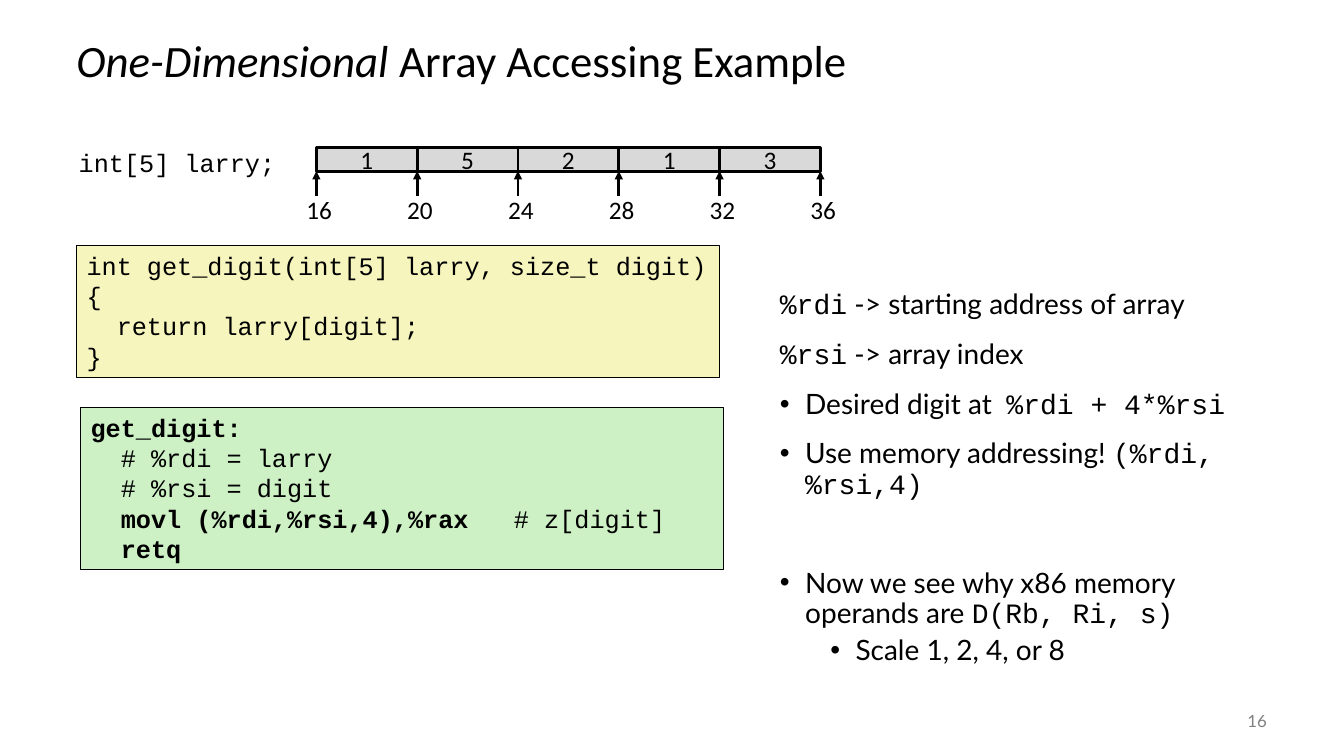
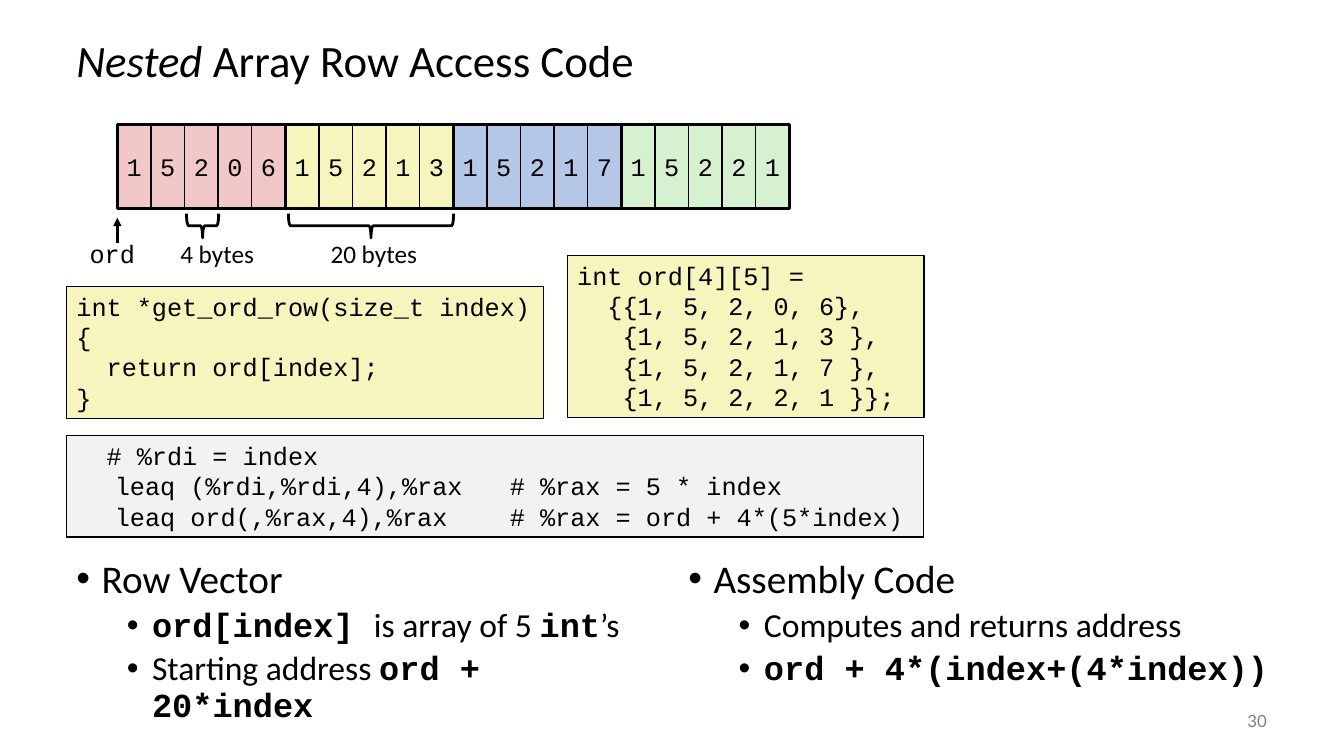
from dataclasses import dataclass
from typing import NamedTuple, Optional, Sequence, Union

from lxml import etree
from pptx import Presentation
from pptx import util as u
from pptx.dml import color
from pptx.enum import shapes, text
from pptx.oxml import ns

BLACK, GREY = "000000", "808080"
YELLOW, GREEN, PALE, SILVER = "F6F5BD", "CDF1C5", "F2F2F2", "D9D9D9"
ROW_FILLS = ("F1C7C7", YELLOW, "B4C7E7", "D5F1CF")
SANS, MONO, LATO = "Calibri", "Courier New", "Lato"
LEFT, CENTER, RIGHT = text.PP_ALIGN.LEFT, text.PP_ALIGN.CENTER, text.PP_ALIGN.RIGHT
TOP, MIDDLE = text.MSO_ANCHOR.TOP, text.MSO_ANCHOR.MIDDLE


class Frame(NamedTuple):
    """Left, top, width and height in points."""
    left: float
    top: float
    width: float
    height: float


@dataclass(frozen=True)
class Span:
    text: str
    font: Optional[str] = None
    bold: bool = False
    italic: bool = False


@dataclass(frozen=True)
class Para:
    spans: Sequence[Span]
    level: Optional[int] = None  # bullet depth, None for no bullet
    before: float = 0
    size: Optional[float] = None


@dataclass(frozen=True)
class CodeBox:
    frame: Frame
    fill: str
    lines: Sequence[Union[str, Para]]
    tabs: Sequence[float] = ()


Lines = Sequence[Union[str, Para]]


def mono(words: str, bold: bool = False) -> Span:
    return Span(words, MONO, bold)


def line(*spans: Span) -> Para:
    return Para(spans)


def bullet(*spans: Span, level: int = 0, before: float = 14,
           size: Optional[float] = None) -> Para:
    return Para(spans, level, before, size)


def rgb(value: str) -> color.RGBColor:
    return color.RGBColor.from_string(value)


def points(frame: Frame) -> list:
    return [u.Pt(length) for length in frame]


def add_element(parent, tag: str, **attributes):
    return etree.SubElement(parent, ns.qn(tag), attributes)


def write(box, lines: Lines, *, size: float = 18, font: str = SANS,
          ink: str = BLACK, align=LEFT, anchor=TOP, wrap: bool = True,
          spacing: Optional[float] = None, tabs: Sequence[float] = (),
          inset: Optional[float] = None) -> None:
    frame = box.text_frame
    frame.word_wrap = wrap
    frame.vertical_anchor = anchor
    if inset is not None:
        frame.margin_left = frame.margin_right = u.Pt(inset)
        frame.margin_top = frame.margin_bottom = u.Pt(inset)
    for index, entry in enumerate(lines):
        para = entry if isinstance(entry, Para) else line(Span(entry))
        target = frame.add_paragraph() if index else frame.paragraphs[0]
        properties = target._p.get_or_add_pPr()
        if para.level is not None:
            properties.set("marL", str(u.Pt(18 + 36 * para.level)))
            properties.set("indent", str(u.Pt(-18)))
            add_element(properties, "a:buFont", typeface="Arial")
            add_element(properties, "a:buChar", char="•")
            target.level = para.level
        if tabs:
            stops = add_element(properties, "a:tabLst")
            for stop in tabs:
                add_element(stops, "a:tab", pos=str(u.Pt(stop)), algn="l")
        target.alignment = align
        if spacing:
            target.line_spacing = spacing
        if index and para.before:
            target.space_before = u.Pt(para.before)
        for span in para.spans:
            run = target.add_run()
            run.text = span.text
            run.font.name = span.font or font
            run.font.size = u.Pt(para.size or size)
            run.font.bold = span.bold
            run.font.italic = span.italic
            run.font.color.rgb = rgb(ink)


def add_text(page, frame: Frame, lines: Lines, **style) -> None:
    write(page.shapes.add_textbox(*points(frame)), lines, **style)


def add_outline(page, frame: Frame, *, fill: Optional[str] = None, width: float = 1,
                kind=shapes.MSO_SHAPE.RECTANGLE):
    shape = page.shapes.add_shape(kind, *points(frame))
    shape.shadow.inherit = False
    if fill:
        shape.fill.solid()
        shape.fill.fore_color.rgb = rgb(fill)
    else:
        shape.fill.background()
    shape.line.color.rgb = rgb(BLACK)
    shape.line.width = u.Pt(width)
    return shape


def add_cell(page, frame: Frame, value: str, *, fill: str, width: float, font: str) -> None:
    cell = add_outline(page, frame, fill=fill, width=width)
    write(cell, [value], font=font, align=CENTER, anchor=MIDDLE, wrap=False, inset=0)


def add_code(page, code: CodeBox) -> None:
    box = add_outline(page, code.frame, fill=code.fill)
    write(box, code.lines, font=MONO, tabs=code.tabs)


def add_up_arrow(page, x: float, bottom: float, height: float = 18) -> None:
    arrow = page.shapes.add_connector(
        shapes.MSO_CONNECTOR.STRAIGHT, u.Pt(x), u.Pt(bottom), u.Pt(x), u.Pt(bottom - height))
    arrow.line.color.rgb = rgb(BLACK)
    arrow.line.width = u.Pt(2)
    add_element(arrow.line._get_or_add_ln(), "a:tailEnd", type="triangle")
    add_element(arrow._element.spPr, "a:effectLst")


def add_brace(page, center: float, span: float, label: Frame, caption: str) -> None:
    """Draw a brace that opens upward, with its caption."""
    depth, middle = 17.3, 161.3
    frame = Frame(center - depth / 2, middle - span / 2, depth, span)
    brace = add_outline(page, frame, width=2, kind=shapes.MSO_SHAPE.RIGHT_BRACE)
    brace.rotation = 90
    add_text(page, label, [caption], wrap=False)


def add_page(deck, title: Sequence[Span], number: int):
    page = deck.slides.add_slide(deck.slide_layouts[6])
    add_text(page, Frame(47.5, 18, 864, 54), [line(*title)],
             size=32, anchor=MIDDLE, spacing=0.9)
    add_text(page, Frame(840, 500.4, 72, 28.8), [str(number)],
             size=12, font=LATO, ink=GREY, align=RIGHT, anchor=MIDDLE)
    return page


def build_one_dimensional(deck) -> None:
    page = add_page(deck, [Span("One-Dimensional ", italic=True),
                           Span("Array Accessing Example")], 16)
    add_text(page, Frame(47.5, 101.5, 156.2, 29), ["int[5] larry;"],
             font=MONO, align=RIGHT)

    left, top, pitch, height = 226, 105.1, 72, 17.3
    digits = "15213"
    for index, digit in enumerate(digits):
        add_cell(page, Frame(left + index * pitch, top, pitch, height), digit,
                 fill=SILVER, width=2, font=SANS)
    for index in range(len(digits) + 1):
        x = left + index * pitch
        add_up_arrow(page, x, 140.2)
        add_text(page, Frame(x - 37, 135.3, 78, 29), [str(16 + 4 * index)], align=CENTER)

    add_code(page, CodeBox(Frame(54.7, 175.2, 459.4, 94.3), YELLOW, [
        "int get_digit(int[5] larry, size_t digit)",
        "{",
        "  return larry[digit];",
        "}"]))
    add_code(page, CodeBox(Frame(57.6, 290.9, 459.4, 116), GREEN, [
        line(Span("get_digit:", bold=True)),
        "  # %rdi = larry",
        "  # %rsi = digit",
        line(Span("  "), Span("movl (%rdi,%rsi,4),%rax", bold=True),
             Span("   # z[digit]")),
        line(Span("  retq", bold=True))]))
    add_text(page, Frame(550, 203.8, 362, 282), [
        line(mono("%rdi"), Span(" -> starting address of array")),
        Para([mono("%rsi"), Span(" -> array index")], before=14),
        bullet(Span("Desired digit at  "), mono("%rdi + 4*%rsi")),
        bullet(Span("Use memory addressing! "), mono("(%rdi,%rsi,4)")),
        bullet(Span("Now we see why x86 memory operands are "),
               mono("D(Rb, Ri, s)"), before=49),
        bullet(Span("Scale 1, 2, 4, or 8"), level=1, before=5),
    ], size=20, font=LATO, spacing=0.9)


def add_summary(page, frame: Frame, heading: str, points_below: Sequence[Sequence[Span]]) -> None:
    lines = [bullet(Span(heading), size=28)]
    lines += [bullet(*spans, level=1, before=5) for spans in points_below]
    add_text(page, frame, lines, size=24, spacing=0.9)


def build_nested(deck) -> None:
    page = add_page(deck, [Span("Nested", italic=True),
                           Span(" Array Row Access Code")], 30)
    left, top, pitch, height = 83.8, 89.2, 24, 60
    rows = ("15206", "15213", "15217", "15221")
    row_width = pitch * len(rows[0])
    row_frames = [Frame(left + index * row_width, top, row_width, height)
                  for index in range(len(rows))]
    for frame, digits, fill in zip(row_frames, rows, ROW_FILLS):
        for index, digit in enumerate(digits):
            add_cell(page, Frame(frame.left + index * pitch, top, pitch, height), digit,
                     fill=fill, width=1, font=MONO)
    for frame in row_frames:
        add_outline(page, frame, width=2.25)

    add_up_arrow(page, left, 173.5)
    add_text(page, Frame(56.9, 167, 47.5, 29), ["ord"], font=MONO, wrap=False)
    add_brace(page, 144.7, 23, Frame(121.7, 167, 68.4, 29), "4 bytes")
    add_brace(page, 265, 118, Frame(229, 167, 77.8, 29), "20 bytes")

    code_boxes = [
        CodeBox(Frame(47.5, 204.5, 340.6, 94.3), YELLOW, [
            "int *get_ord_row(size_t index)",
            "{",
            "  return ord[index];",
            "}"]),
        CodeBox(Frame(405.2, 182.4, 254.9, 116), YELLOW, [
            "int ord[4][5] =",
            "  {{1, 5, 2, 0, 6},",
            "   {1, 5, 2, 1, 3 },",
            "   {1, 5, 2, 1, 7 },",
            "   {1, 5, 2, 2, 1 }};"]),
        CodeBox(Frame(47.5, 311, 612, 72.7), PALE, [
            "  # %rdi = index",
            "\tleaq (%rdi,%rdi,4),%rax\t  # %rax = 5 * index",
            "\tleaq ord(,%rax,4),%rax\t  # %rax = ord + 4*(5*index)"],
            tabs=(27.4, 288)),
    ]
    for code in code_boxes:
        add_code(page, code)

    add_summary(page, Frame(47.5, 396, 425, 126), "Row Vector", [
        [mono("ord[index] ", True), Span("is array of 5 "), mono("int", True), Span("’s")],
        [Span("Starting address "), mono("ord + 20*index", True)]])
    add_summary(page, Frame(484.6, 396, 432, 126), "Assembly Code", [
        [Span("Computes and returns address")],
        [mono("ord + 4*(index+(4*index))", True)]])


def main() -> None:
    deck = Presentation()
    deck.slide_width, deck.slide_height = u.Pt(960), u.Pt(540)
    build_one_dimensional(deck)
    build_nested(deck)
    deck.save("out.pptx")


if __name__ == "__main__":
    main()
